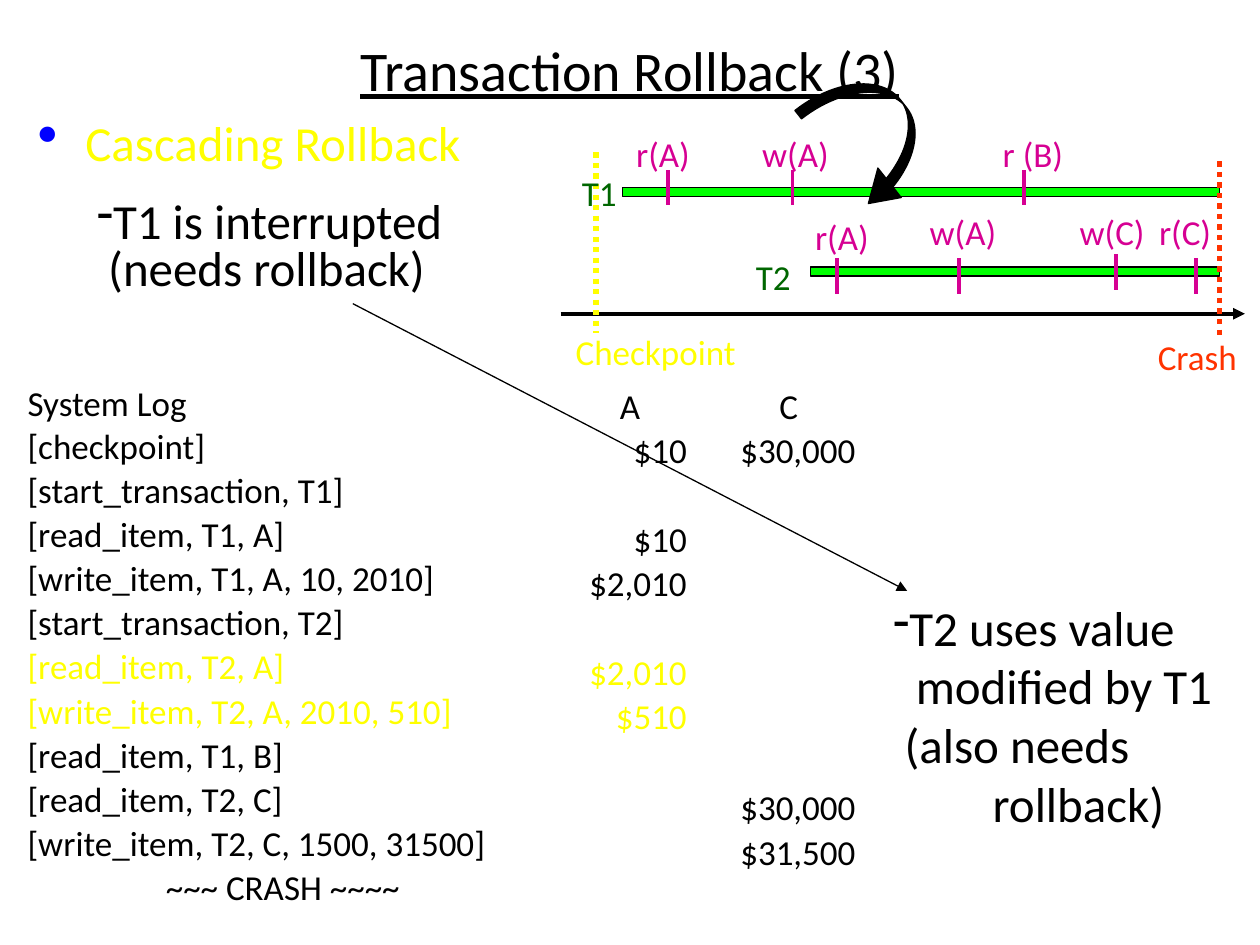
from lxml import etree
from pptx import Presentation
from pptx import util as u
from pptx.dml.color import RGBColor
from pptx.enum import dml, shapes, text
from pptx.oxml import ns

PX = 9144
FONT = "Calibri"
BLACK = RGBColor(0, 0, 0)
WHITE = RGBColor(255, 255, 255)
YELLOW = RGBColor(255, 255, 0)
LIME = RGBColor(0, 255, 0)
GREEN = RGBColor(0, 0x66, 0)
MAGENTA = RGBColor(0xD6, 0, 0x93)
RED = RGBColor(255, 0x33, 0)
BLUE = RGBColor(0, 0, 255)

ROW_GAP = 3.6
ROW_PITCH = 25.57
LOG = [
    ("System Log", "A", "C"),
    ("[checkpoint]", "$10", "$30,000"),
    ("[start_transaction, T1]", "", ""),
    ("[read_item, T1, A]", "$10", ""),
    ("[write_item, T1, A, 10, 2010]", "$2,010", ""),
    ("[start_transaction, T2]", "", ""),
    ("[read_item, T2, A]", "$2,010", ""),
    ("[write_item, T2, A, 2010, 510]", "$510", ""),
    ("[read_item, T1, B]", "", ""),
    ("[read_item, T2, C]", "", "$30,000"),
    ("[write_item, T2, C, 1500, 31500]", "", "$31,500"),
    ("~~~ CRASH ~~~~", "", ""),
]
CASCADED_ROWS = (6, 7)
LEFT, CENTER, RIGHT = text.PP_ALIGN.LEFT, text.PP_ALIGN.CENTER, text.PP_ALIGN.RIGHT

OPERATIONS = [
    ("r(A)", 495, 100, 68, 530, 135),
    ("w(A)", 595, 100, 79, 629, 135),
    ("r (B)", 786, 100, 76, 813, 135),
    ("r(A)", 637, 166, 68, 664, 205),
    ("w(A)", 728, 162, 79, 761, 205),
    ("w(C)", 847, 162, 79, 886, 202),
    ("r(C)", 910, 162, 68, 949, 205),
]
LABELS = [
    ("T1", 452, 131, 51, GREEN),
    ("T2", 590, 198, 51, GREEN),
    ("Checkpoint", 447, 257, 155, YELLOW),
    ("Crash", 909, 261, 89, RED),
]


def px(*lengths):
    return [u.Emu(length * PX) for length in lengths]


def add_child(parent, tag, **attributes):
    return etree.SubElement(parent, ns.qn(tag), attributes)


def set_bullet(paragraph, char, color=None, percent=None):
    props = paragraph._p.get_or_add_pPr()
    if color is not None:
        add_child(add_child(props, "a:buClr"), "a:srgbClr", val=str(color))
    if percent:
        add_child(props, "a:buSzPct", val=str(percent * 1000))
    add_child(props, "a:buChar", char=char)


def set_indent(paragraph, margin, first=0):
    props = paragraph._p.get_or_add_pPr()
    props.set("marL", str(margin * PX))
    props.set("indent", str(first * PX))


def set_font(paragraph, size, color):
    font = paragraph.font
    font.name, font.size = FONT, u.Pt(size)
    font.color.rgb = color
    return font


def next_paragraph(frame, first):
    return frame.paragraphs[0] if first else frame.add_paragraph()


def add_title(slide, wording):
    title = slide.shapes.title
    title.left, title.top, title.width, title.height = px(50, 13, 900, 83)
    title.text_frame.text = wording
    title.text_frame.vertical_anchor = text.MSO_ANCHOR.MIDDLE
    paragraph = title.text_frame.paragraphs[0]
    paragraph.alignment = CENTER
    set_font(paragraph, 32, BLACK).underline = True


def add_heading(slide, wording):
    frame = slide.shapes.add_textbox(*px(20, 84, 465, 63)).text_frame
    frame.word_wrap = True
    paragraph = frame.paragraphs[0]
    paragraph.text = wording
    set_indent(paragraph, 38, -38)
    set_bullet(paragraph, "•", BLUE, 120)
    set_font(paragraph, 28, YELLOW)


def unwrapped_frame(slide, left, top, width, height):
    frame = slide.shapes.add_textbox(*px(left, top, width, height)).text_frame
    frame.word_wrap = False
    frame.auto_size = text.MSO_AUTO_SIZE.SHAPE_TO_FIT_TEXT
    return frame


def add_label(slide, wording, left, top, width, color):
    paragraph = unwrapped_frame(slide, left, top, width, 43).paragraphs[0]
    paragraph.text = wording
    set_font(paragraph, 20, color)


def add_note(slide, box, lines, spacing=None):
    frame = unwrapped_frame(slide, *box)
    for row, (wording, margin) in enumerate(lines):
        paragraph = next_paragraph(frame, row == 0)
        paragraph.text = wording
        set_indent(paragraph, margin)
        if spacing:
            paragraph.line_spacing = spacing
        if row == 0:
            set_bullet(paragraph, "-")
        set_font(paragraph, 28, BLACK)


def add_solid(slide, preset, box, fill, outline=None):
    solid = slide.shapes.add_shape(preset, *px(*box))
    solid.shadow.inherit = False
    solid.fill.solid()
    solid.fill.fore_color.rgb = fill
    if outline is None:
        solid.line.fill.background()
    else:
        solid.line.color.rgb = outline
        solid.line.width = u.Pt(0.75)
    return solid


def add_line(slide, ends, color, width, dotted=False, arrow=False):
    line = slide.shapes.add_connector(shapes.MSO_CONNECTOR.STRAIGHT, *px(*ends))
    line.line.color.rgb = color
    line.line.width = u.Pt(width)
    if dotted:
        line.line.dash_style = dml.MSO_LINE.ROUND_DOT
    if arrow:
        add_child(line.line._get_or_add_ln(), "a:tailEnd", type="triangle")
    add_child(line._element.spPr, "a:effectLst")


def add_log_column(slide, column, box, body_align):
    panel = add_solid(slide, shapes.MSO_SHAPE.RECTANGLE, box, WHITE)
    frame = panel.text_frame
    frame.word_wrap = True
    frame.vertical_anchor = text.MSO_ANCHOR.TOP
    previous = 0
    for row, entries in enumerate(LOG):
        if not entries[column]:
            continue
        paragraph = next_paragraph(frame, row == 0)
        paragraph.text = entries[column]
        is_log = column == 0
        centered = row == len(LOG) - 1 if is_log else row == 0
        paragraph.alignment = CENTER if centered else body_align
        paragraph.line_spacing = 0.8 if is_log and row == 0 else 0.9
        if row:
            skipped = row - previous - 1
            paragraph.space_before = u.Pt(round(ROW_GAP + skipped * ROW_PITCH, 2))
        set_font(paragraph, 20, YELLOW if row in CASCADED_ROWS else BLACK)
        previous = row


def add_timeline(slide):
    bar = shapes.MSO_SHAPE.RECTANGLE
    add_solid(slide, bar, (643, 212, 325, 7), LIME, BLACK)
    add_line(slide, (445, 249, 988, 249), BLACK, 2.25, arrow=True)
    add_line(slide, (473, 121, 473, 264), YELLOW, 3, dotted=True)
    add_solid(slide, bar, (494, 149, 474, 7), LIME, BLACK)
    add_line(slide, (968, 128, 968, 268), RED, 3, dotted=True)
    for label in LABELS:
        add_label(slide, *label)
    for wording, left, top, width, tick, tick_top in OPERATIONS:
        add_label(slide, wording, left, top, width, MAGENTA)
        add_line(slide, (tick, tick_top, tick, tick_top + 28), MAGENTA, 2.25)
    cascade = add_solid(slide, shapes.MSO_SHAPE.CURVED_LEFT_ARROW,
                        (657, 54, 71, 109), BLACK, BLACK)
    cascade.rotation = 321.7
    for index, ratio in enumerate((0.12, 0.42, 0.33)):
        cascade.adjustments[index] = ratio


def main():
    deck = Presentation()
    deck.slide_width, deck.slide_height = px(1000, 750)
    slide = deck.slides.add_slide(deck.slide_layouts[5])
    add_title(slide, "Transaction Rollback (3)")
    add_heading(slide, "Cascading Rollback")
    add_log_column(slide, 0, (12, 304, 425, 433), LEFT)
    add_timeline(slide)
    add_log_column(slide, 1, (445, 304, 110, 425), RIGHT)
    add_log_column(slide, 2, (563, 304, 126, 425), RIGHT)
    add_note(slide, (67, 155, 319, 85),
             [("T1 is interrupted", 0), ("(needs rollback)", 9)], 0.8)
    add_note(slide, (699, 469, 301, 197),
             [("T2 uses value", 0), ("modified by T1", 18),
              ("(also needs", 9), ("rollback)", 79)])
    add_line(slide, (280, 241, 720, 469), BLACK, 0.75, arrow=True)
    deck.save("out.pptx")


if __name__ == "__main__":
    main()
